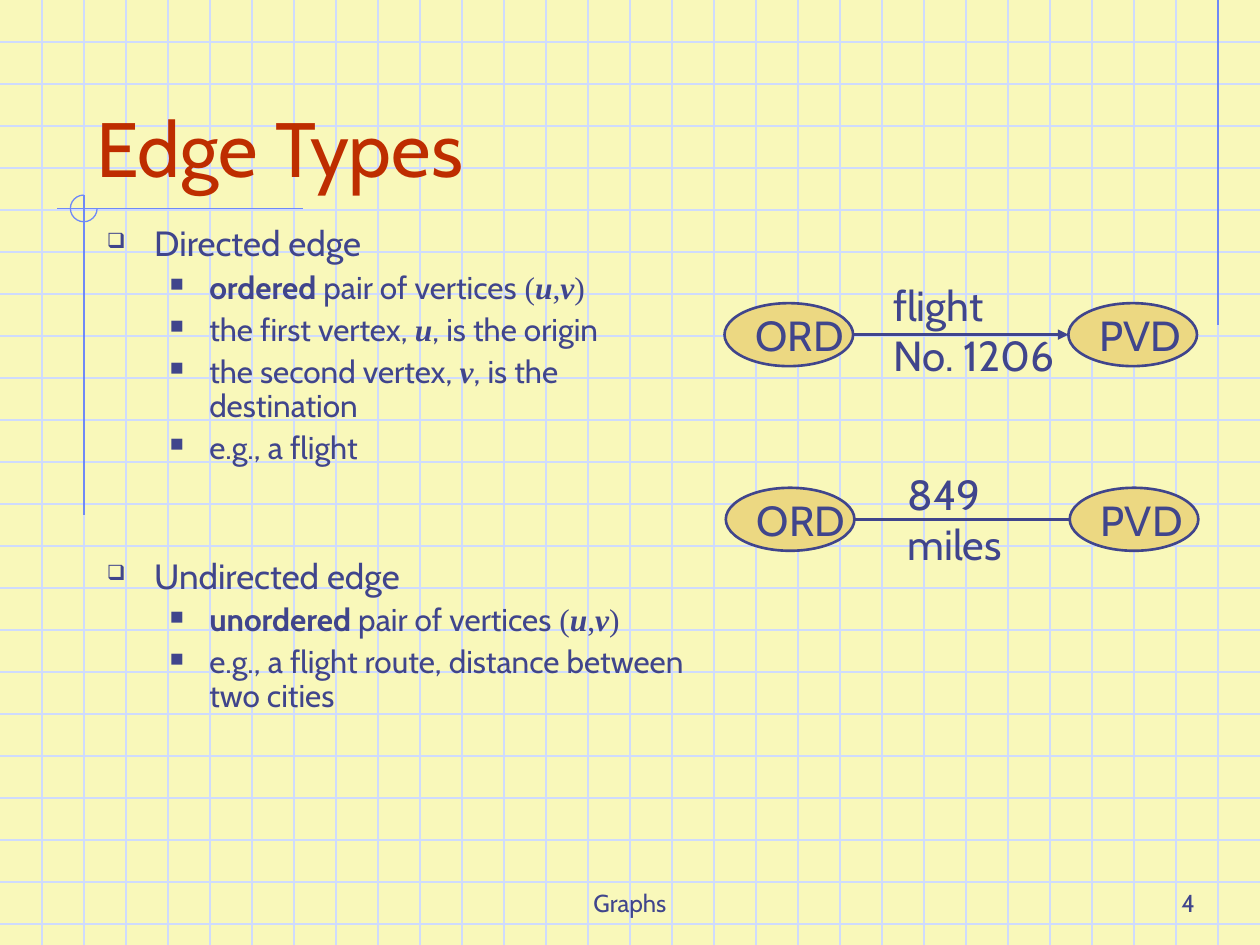
"""Build the "Edge Types" slide on squared paper."""
from dataclasses import dataclass
from typing import Any, NamedTuple

from lxml import etree
from pptx import Presentation
from pptx import util as u
from pptx.dml import color
from pptx.enum import shapes, text
from pptx.oxml import ns

INK, RED, BLUE, GRID = "40458C", "BE2D00", "6F89F7", "CFDBFD"
PAPER, SAND = "F9F8BA", "ECD882"
SANS, SERIF = "Cabin", "Times New Roman"
WIDTH, HEIGHT, STEP = 720, 540, 24
NODE_WIDTH, NODE_HEIGHT = 73.5, 36


class Span(NamedTuple):
    text: str
    name: str = SANS
    bold: bool = False
    italic: bool = False


class Level(NamedTuple):
    bullet: str
    size: float
    margin: float
    indent: float
    before: float


class Item(NamedTuple):
    level: int
    spans: list[Span]
    before: float | None = None


class Line(NamedTuple):
    x1: float
    y1: float
    x2: float
    y2: float
    tint: str
    weight: float = 0.75
    arrow: bool = False


@dataclass
class Label:
    left: float
    top: float
    width: float
    height: float
    lines: list[str]
    size: float = 24
    tint: str = INK
    anchor: Any = text.MSO_ANCHOR.TOP
    align: Any = text.PP_ALIGN.LEFT
    wrap: bool = True


@dataclass
class Edge:
    left: float
    top: float
    arrow: bool
    label: Label


LEVELS = [Level("❑", 20, 27, -27, 5), Level("■", 18, 58.5, -22.5, 4.5)]
PAIR = [Span(" pair of vertices"), Span(" (", SERIF), Span("u", SERIF, True, True),
        Span(",", SERIF), Span("v", SERIF, True, True), Span(")", SERIF)]
ITEMS = [
    Item(0, [Span("Directed edge")], 0),
    Item(1, [Span("ordered", bold=True), *PAIR]),
    Item(1, [Span("the first vertex, "), Span("u", SERIF, True, True), Span(", is the origin")]),
    Item(1, [Span("the second vertex, "), Span("v", SERIF, True, True),
             Span(", is the destination")]),
    Item(1, [Span("e.g., a flight")]),
    Item(0, [Span("Undirected edge")], 53),
    Item(1, [Span("unordered", bold=True), *PAIR]),
    Item(1, [Span("e.g., a flight route, distance between two cities")]),
]
LABELS = [
    Label(246, 492, 228, 36, ["Graphs"], 14, anchor=text.MSO_ANCHOR.BOTTOM,
          align=text.PP_ALIGN.CENTER),
    Label(540, 492, 150, 36, ["4"], 14, anchor=text.MSO_ANCHOR.BOTTOM, align=text.PP_ALIGN.RIGHT),
    Label(48, 24, 636, 90, ["Edge Types"], 44, RED, text.MSO_ANCHOR.BOTTOM),
]
EDGES = [
    Edge(414, 173.25, True, Label(503.25, 156, 156, 65, ["flight", "No. 1206"])),
    Edge(414.75, 278.75, False, Label(511.5, 264, 74, 65, ["849", "miles"], wrap=False)),
]
ACCENTS = [
    Line(696, 0, 696, 186, BLUE),
    Line(173, 119.25, 32.5, 119.25, BLUE),
    Line(48, 111.5, 48, 294.5, BLUE),
]


def rgb(value: str) -> color.RGBColor:
    """Turn a hex string into a colour."""
    return color.RGBColor.from_string(value)


def apply(target: Any, values: dict[str, Any]) -> None:
    """Set each named attribute on the target."""
    for name, value in values.items():
        setattr(target, name, value)


def add_xml(parent: Any, tag: str, **attributes: str) -> Any:
    """Append a drawing element with its attributes."""
    return etree.SubElement(parent, ns.qn(tag), attributes)


def add_span(para: Any, span: Span, size: float, tint: str) -> None:
    """Append one formatted run to a paragraph."""
    run = para.add_run()
    run.text = span.text
    apply(run.font, {"name": span.name, "size": u.Pt(size),
                     "bold": span.bold, "italic": span.italic})
    run.font.color.rgb = rgb(tint)


def next_para(frame: Any, index: int) -> Any:
    """Return the first paragraph or append another."""
    return frame.add_paragraph() if index else frame.paragraphs[0]


def write(frame: Any, label: Label) -> None:
    """Fill a text frame with the lines of a label."""
    apply(frame, {"word_wrap": label.wrap, "vertical_anchor": label.anchor})
    for index, line in enumerate(label.lines):
        para = next_para(frame, index)
        para.alignment = label.align
        add_span(para, Span(line), label.size, label.tint)


def add_box(page: Any, left: float, top: float, width: float, height: float) -> Any:
    """Add a text box and return its frame."""
    return page.shapes.add_textbox(u.Pt(left), u.Pt(top), u.Pt(width), u.Pt(height)).text_frame


def add_label(page: Any, label: Label) -> None:
    """Draw a label in its own box."""
    write(add_box(page, label.left, label.top, label.width, label.height), label)


def add_line(page: Any, line: Line) -> None:
    """Draw a straight line, with an arrowhead if asked."""
    connector = page.shapes.add_connector(
        shapes.MSO_CONNECTOR.STRAIGHT, u.Pt(line.x1), u.Pt(line.y1), u.Pt(line.x2), u.Pt(line.y2))
    connector.line.color.rgb = rgb(line.tint)
    connector.line.width = u.Pt(line.weight)
    if line.arrow:
        add_xml(connector.line._get_or_add_ln(), "a:tailEnd", type="triangle")
    add_xml(connector._element.spPr, "a:effectLst")


def add_ring(page: Any) -> None:
    """Draw the three-quarter ring where the accent lines cross."""
    ring = page.shapes.add_shape(shapes.MSO_SHAPE.ARC, u.Pt(40.25), u.Pt(111.5),
                                 u.Pt(15.25), u.Pt(15.25))
    ring.adjustments[0], ring.adjustments[1] = 0, 162
    ring.shadow.inherit = False
    ring.fill.background()
    ring.line.color.rgb = rgb(BLUE)
    ring.line.width = u.Pt(0.75)


def add_node(page: Any, left: float, top: float, name: str) -> None:
    """Draw one vertex with its airport code."""
    node = page.shapes.add_shape(shapes.MSO_SHAPE.OVAL, u.Pt(left), u.Pt(top),
                                 u.Pt(NODE_WIDTH), u.Pt(NODE_HEIGHT))
    node.shadow.inherit = False
    node.fill.solid()
    node.fill.fore_color.rgb = rgb(SAND)
    node.line.color.rgb = rgb(INK)
    node.line.width = u.Pt(1.5)
    write(node.text_frame, Label(left, top, NODE_WIDTH, NODE_HEIGHT, [name],
                                 anchor=text.MSO_ANCHOR.MIDDLE, wrap=False))


def add_edge(page: Any, edge: Edge) -> None:
    """Draw two vertices, the edge between them and its label."""
    far, middle = edge.left + 196.5, edge.top + NODE_HEIGHT / 2
    add_node(page, edge.left, edge.top, "ORD")
    add_node(page, far, edge.top, "PVD")
    add_line(page, Line(edge.left + NODE_WIDTH, middle, far, middle, INK, 1.5, edge.arrow))
    add_label(page, edge.label)


def add_items(page: Any) -> None:
    """Write the bulleted outline."""
    frame = add_box(page, 54, 126, 348, 384)
    frame.word_wrap = True
    for index, item in enumerate(ITEMS):
        level, para = LEVELS[item.level], next_para(frame, index)
        props = para._p.get_or_add_pPr()
        for name, points in {"marL": level.margin, "indent": level.indent}.items():
            props.set(name, str(int(u.Pt(points))))
        add_xml(add_xml(props, "a:buClr"), "a:srgbClr", val=INK)
        add_xml(props, "a:buSzPct", val="60000")
        add_xml(props, "a:buChar", char=level.bullet)
        before = level.before if item.before is None else item.before
        apply(para, {"level": item.level, "line_spacing": 0.9, "space_before": u.Pt(before)})
        for span in item.spans:
            add_span(para, span, level.size, INK)


def main() -> None:
    """Build and save the deck."""
    deck = Presentation()
    apply(deck, {"slide_width": u.Pt(WIDTH), "slide_height": u.Pt(HEIGHT)})
    page = deck.slides.add_slide(deck.slide_layouts[6])
    page.background.fill.solid()
    page.background.fill.fore_color.rgb = rgb(PAPER)
    rows = [Line(0, y, WIDTH, y, GRID) for y in range(STEP, HEIGHT, STEP)]
    columns = [Line(x, 0, x, HEIGHT, GRID) for x in range(STEP, WIDTH, STEP)]
    for line in rows + columns + ACCENTS:
        add_line(page, line)
    add_ring(page)
    for label in LABELS:
        add_label(page, label)
    add_items(page)
    for edge in EDGES:
        add_edge(page, edge)
    deck.save("out.pptx")


if __name__ == "__main__":
    main()
